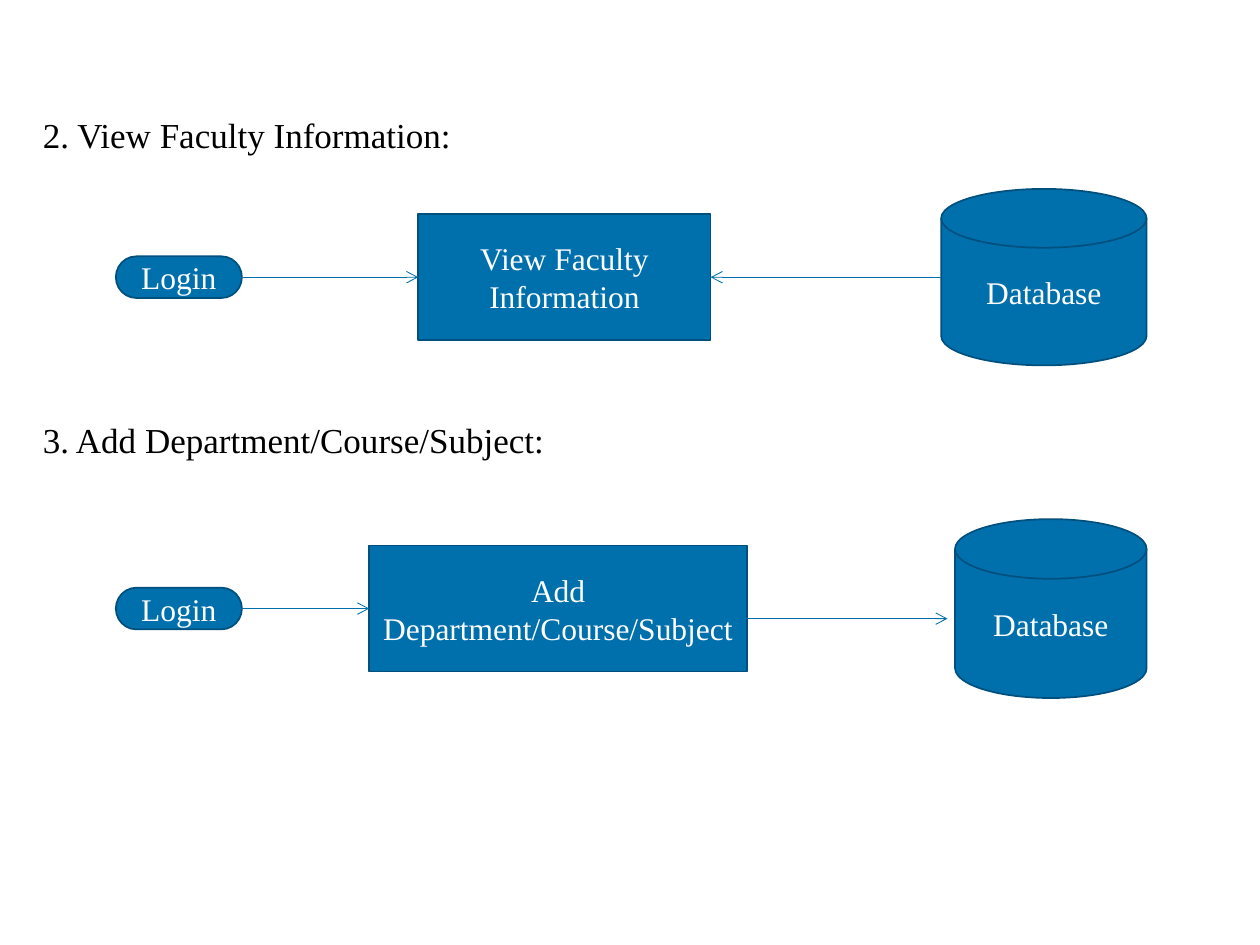
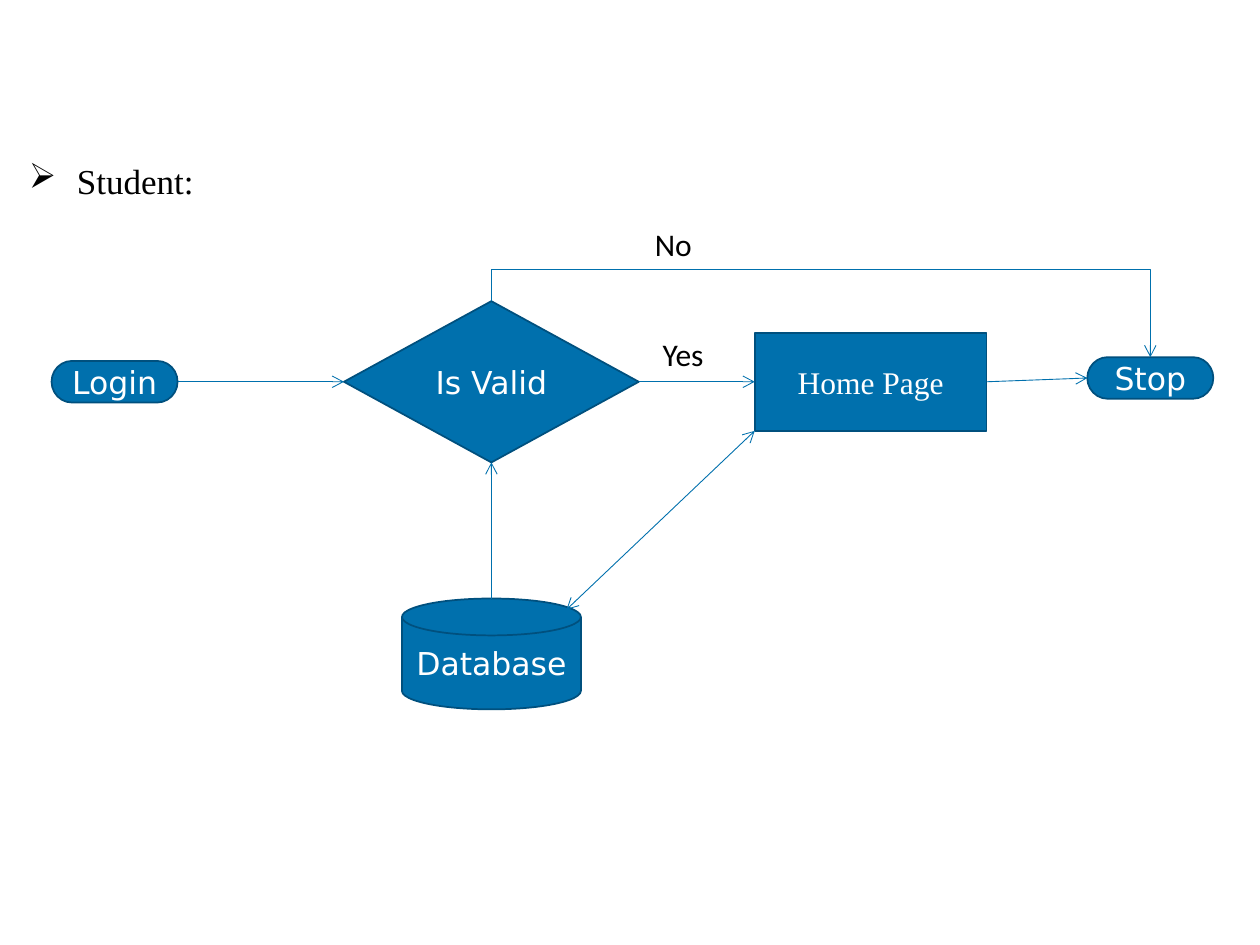
from dataclasses import dataclass
from typing import NamedTuple

from lxml.etree import SubElement
from pptx import Presentation
from pptx.dml.color import RGBColor
from pptx.enum.shapes import MSO_CONNECTOR, MSO_SHAPE
from pptx.enum.text import MSO_ANCHOR, MSO_AUTO_SIZE, PP_ALIGN
from pptx.oxml.ns import qn
from pptx.util import Inches, Pt


@dataclass(frozen=True)
class Theme:
    fill: RGBColor = RGBColor(0x00, 0x70, 0xAD)
    edge: RGBColor = RGBColor(0x00, 0x50, 0x7E)
    ink: RGBColor = RGBColor(0x00, 0x00, 0x00)
    light: RGBColor = RGBColor(0xFF, 0xFF, 0xFF)
    serif: str = "Times New Roman"
    sans: str = "DejaVu Sans"
    label: str = "Calibri"
    head_size: float = 20
    text_size: float = 18
    edge_width: float = 1
    line_width: float = 0.5


class Spot(NamedTuple):
    """A point in grid columns and rows."""
    x: float
    y: float


class Box(NamedTuple):
    """A frame in grid columns and rows."""
    x: float
    y: float
    w: float
    h: float

    def at(self, across: float, down: float) -> Spot:
        """The point at these shares of the width and height."""
        return Spot(self.x + across * self.w, self.y + down * self.h)

    @property
    def left(self) -> Spot:
        return self.at(0, 0.5)

    @property
    def right(self) -> Spot:
        return self.at(1, 0.5)

    @property
    def top(self) -> Spot:
        return self.at(0.5, 0)

    @property
    def base(self) -> Spot:
        return self.at(0.5, 1)


class Node(NamedTuple):
    kind: MSO_SHAPE
    text: str
    box: Box
    font: str


class Link(NamedTuple):
    start: Spot
    end: Spot
    both: bool = False


THEME = Theme()
WIDTH, HEIGHT = Inches(10), Inches(7.5)
COLS, ROWS = 100, 75

PILL = MSO_SHAPE.FLOWCHART_TERMINATOR
RECT = MSO_SHAPE.RECTANGLE
DISK = MSO_SHAPE.FLOWCHART_MAGNETIC_DISK
TEST = MSO_SHAPE.FLOWCHART_DECISION


def across(cols: float) -> int:
    return round(WIDTH * cols / COLS)


def down(rows: float) -> int:
    return round(HEIGHT * rows / ROWS)


def frame(box: Box) -> tuple[int, int, int, int]:
    return across(box.x), down(box.y), across(box.w), down(box.h)


def write(para, text: str, font: str, size: float, color: RGBColor) -> None:
    run = para.add_run()
    run.text = text
    run.font.name = font
    run.font.size = Pt(size)
    run.font.color.rgb = color


def style_head(shape, text: str, pitch: float, bullet: str = "") -> None:
    """Fill a heading frame; a bullet gets a hanging indent."""
    body = shape.text_frame
    body.word_wrap = True
    body.auto_size = MSO_AUTO_SIZE.NONE
    body.vertical_anchor = MSO_ANCHOR.TOP
    body.margin_left = body.margin_right = 0
    body.margin_top = body.margin_bottom = 0
    para = body.paragraphs[0]
    para.alignment = PP_ALIGN.LEFT
    para.line_spacing = pitch
    if bullet:
        props = para._p.get_or_add_pPr()
        props.set("marL", str(Inches(0.38)))
        props.set("indent", str(-Inches(0.38)))
        SubElement(props, qn("a:buChar")).set("char", bullet)
    write(para, text, THEME.serif, THEME.head_size, THEME.ink)


def add_title(slide, text: str, box: Box, pitch: float, bullet: str = "") -> None:
    title = slide.shapes.title
    title.left, title.top, title.width, title.height = frame(box)
    style_head(title, text, pitch, bullet)


def add_node(slide, node: Node) -> None:
    shape = slide.shapes.add_shape(node.kind, *frame(node.box))
    shape.shadow.inherit = False
    shape.fill.solid()
    shape.fill.fore_color.rgb = THEME.fill
    shape.line.color.rgb = THEME.edge
    shape.line.width = Pt(THEME.edge_width)
    body = shape.text_frame
    body.word_wrap = True
    body.vertical_anchor = MSO_ANCHOR.MIDDLE
    para = body.paragraphs[0]
    para.alignment = PP_ALIGN.CENTER
    write(para, node.text, node.font, THEME.text_size, THEME.light)


def add_label(slide, text: str, box: Box) -> None:
    body = slide.shapes.add_textbox(*frame(box)).text_frame
    body.word_wrap = True
    write(body.paragraphs[0], text, THEME.label, THEME.text_size, THEME.ink)


def add_link(slide, link: Link, kind: MSO_CONNECTOR = MSO_CONNECTOR.STRAIGHT):
    (x1, y1), (x2, y2) = link.start, link.end
    line = slide.shapes.add_connector(
        kind, across(x1), down(y1), across(x2), down(y2))
    line.line.color.rgb = THEME.fill
    line.line.width = Pt(THEME.line_width)
    stroke = line.line._get_or_add_ln()
    for end in ("headEnd", "tailEnd") if link.both else ("tailEnd",):
        SubElement(stroke, qn(f"a:{end}")).set("type", "arrow")
    SubElement(line._element.spPr, qn("a:effectLst"))
    return line


def add_bend(slide, link: Link, rise: float) -> None:
    """An elbow that climbs by rise rows, runs right and drops to its end."""
    line = add_link(slide, link, MSO_CONNECTOR.ELBOW)
    (x1, y1), (x2, y2) = link.start, link.end
    run, drop = x2 - x1, y2 - y1
    line.left = across((x1 + x2 - drop) / 2)
    line.top = down((y1 + y2 - run) / 2)
    line.width, line.height = across(drop), down(run)
    props = line._element.spPr
    turn = props.find(qn("a:xfrm"))
    turn.set("rot", str(270 * 60000))
    turn.set("flipH", "1")
    guides = props.find(qn("a:prstGeom")).get_or_add_avLst()
    guide = SubElement(guides, qn("a:gd"))
    guide.set("name", "adj1")
    guide.set("fmla", f"val {round(-rise / drop * 100000)}")


def draw(slide, nodes: list[Node], links: list[Link]) -> None:
    for node in nodes:
        add_node(slide, node)
    for link in links:
        add_link(slide, link)


def add_faculty(slide) -> None:
    head = Box(3.4, 9.4, 93.3, 4)
    add_title(slide, "2. View Faculty Information:", head, 0.9)
    next_head = slide.shapes.add_textbox(*frame(head._replace(y=33.6)))
    style_head(next_head, "3. Add Department/Course/Subject:", 0.9)

    login = Box(9.2, 20.35, 10, 3.3)
    view = Box(33.2, 17, 23.2, 10)
    store = Box(74.7, 15, 16.3, 14)
    entry = login._replace(y=46.65)
    add = Box(29.3, 43.3, 30, 10)
    vault = Box(75.8, 41.2, 15.2, 14.2)
    draw(slide, [
        Node(PILL, "Login", login, THEME.serif),
        Node(RECT, "View Faculty Information", view, THEME.serif),
        Node(DISK, "Database", store, THEME.serif),
        Node(PILL, "Login", entry, THEME.serif),
        Node(RECT, "Add Department/Course/Subject", add, THEME.serif),
        Node(DISK, "Database", vault, THEME.serif),
    ], [
        Link(login.right, view.left),
        Link(store.left, view.right),
        Link(entry.right, add.left),
        Link(add.at(1, 0.58), Spot(75.2, 49.1)),
    ])


def add_student(slide) -> None:
    add_title(slide, "Student:", Box(2.3, 11, 93.3, 6), 1.5, "➢")

    login = Box(4.1, 28.65, 10, 3.3)
    home = Box(59.9, 26.4, 18.4, 7.8)
    store = Box(31.9, 47.5, 14.2, 8.8)
    valid = Box(27.3, 23.9, 23.4, 12.8)
    stop = Box(86.3, 28.35, 10, 3.3)
    draw(slide, [
        Node(PILL, "Login", login, THEME.sans),
        Node(RECT, "Home Page", home, THEME.serif),
        Node(DISK, "Database", store, THEME.sans),
        Node(TEST, "Is Valid", valid, THEME.sans),
        Node(PILL, "Stop", stop, THEME.sans),
    ], [
        Link(login.right, valid.left),
        Link(valid.right, home.left),
        Link(store.top, valid.base),
        Link(store.at(0.92, 0.1), home.at(0, 1), both=True),
        Link(home.right, stop.left),
    ])
    add_bend(slide, Link(valid.top, stop.top), 2.5)
    add_label(slide, "No", Box(51, 17.4, 7, 4))
    add_label(slide, "Yes", Box(51.6, 26.1, 5.8, 4))


def main() -> None:
    deck = Presentation()
    deck.slide_width, deck.slide_height = WIDTH, HEIGHT
    plain = deck.slide_layouts.get_by_name("Title Only")
    for fill in (add_faculty, add_student):
        fill(deck.slides.add_slide(plain))
    deck.save("out.pptx")


if __name__ == "__main__":
    main()
